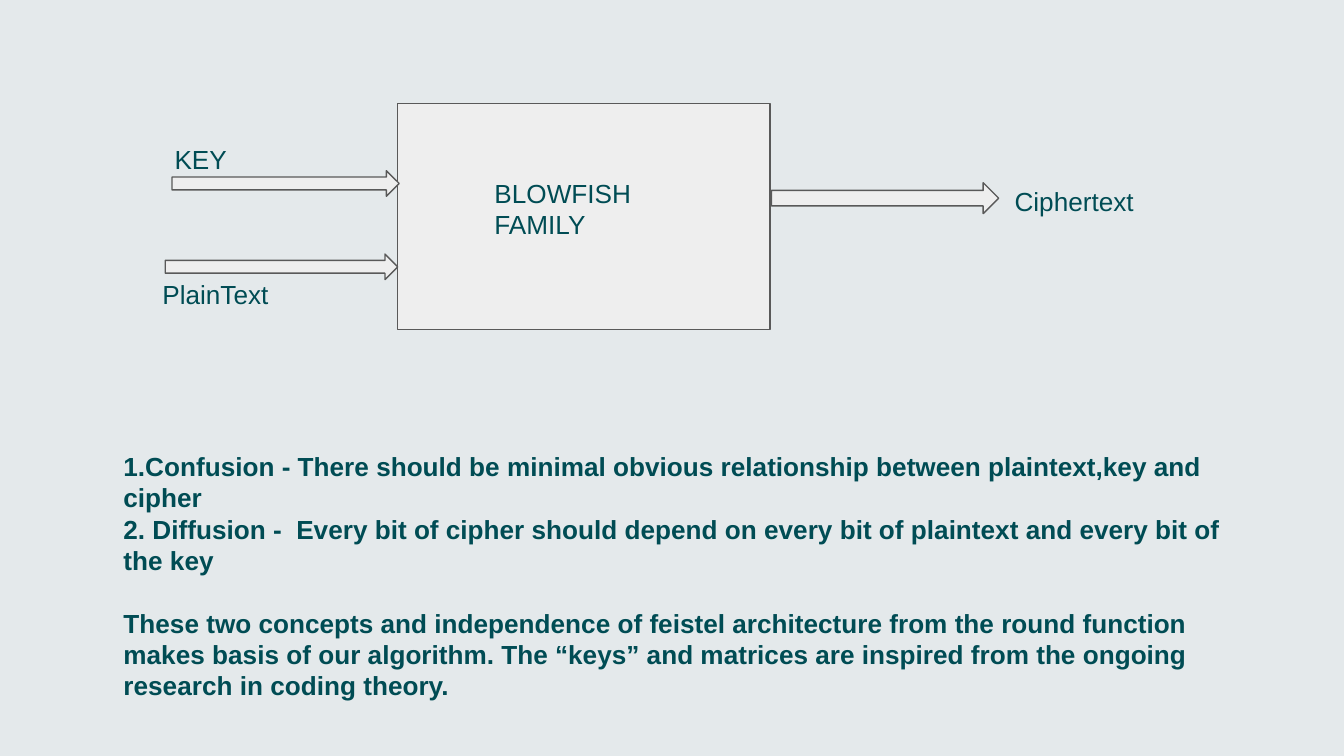
from pptx import Presentation
from pptx import util as u
from pptx.dml.color import RGBColor
from pptx.enum import shapes, text

COLORS = {"background": "E4E9EB", "block": "EEEEEE", "outline": "595959", "ink": "004C54"}


class Diagram:
    """Draws the cipher diagram's elements in one style on one slide."""

    font = "Arial"
    size = 14

    def __init__(self, slide):
        self.slide = slide
        self.paint(slide.background.fill, "background")

    def paint(self, fill, name):
        fill.solid()
        fill.fore_color.rgb = RGBColor.from_string(COLORS[name])

    def block(self, kind, *box):
        shape = self.slide.shapes.add_shape(kind, *map(u.Inches, box))
        shape.shadow.inherit = False
        self.paint(shape.fill, "block")
        self.paint(shape.line.fill, "outline")
        shape.line.width = u.Pt(0.75)

    def label(self, lines, *box, bold=False):
        frame = self.slide.shapes.add_textbox(*map(u.Inches, box)).text_frame
        frame.word_wrap = True
        frame.auto_size = text.MSO_AUTO_SIZE.NONE
        frame.margin_left = frame.margin_right = u.Inches(0.1)
        frame.margin_top = frame.margin_bottom = u.Inches(0.1)
        frame.text = "\n".join(lines)
        for paragraph in frame.paragraphs:
            font = paragraph.font
            font.name, font.size, font.bold = self.font, u.Pt(self.size), bold
            self.paint(font.fill, "ink")
        return frame


deck = Presentation()
deck.slide_width = u.Inches(10)
deck.slide_height = deck.slide_width * 9 // 16
diagram = Diagram(deck.slides.add_slide(deck.slide_layouts[6]))

diagram.block(shapes.MSO_SHAPE.FLOWCHART_PROCESS, 2.96, 0.77, 2.77, 1.68)
for arrow in [(1.28, 1.27, 1.69, 0.19), (1.23, 1.89, 1.73, 0.19), (5.74, 1.36, 1.69, 0.23)]:
    diagram.block(shapes.MSO_SHAPE.RIGHT_ARROW, *arrow)

for name, box in {
    "KEY": (1.2, 0.97, 1.82, 0.36),
    "Ciphertext": (7.45, 1.28, 1.18, 0.36),
    "PlainText": (1.11, 1.97, 1.27, 0.29),
    "BLOWFISH FAMILY": (3.58, 1.22, 1.59, 0.79),
}.items():
    diagram.label([name], *box)

principles = diagram.label([
    "1.Confusion - There should be minimal obvious relationship between plaintext,key and cipher",
    "2. Diffusion -  Every bit of cipher should depend on every bit of plaintext and every bit of the key",
    "These two concepts and independence of feistel architecture from the round function makes basis "
    "of our algorithm. The “keys” and matrices are inspired from the ongoing research in coding theory.",
], 0.82, 3.25, 8.48, 1.5, bold=True)
principles.paragraphs[-1].space_before = u.Pt(16.8)

deck.save("out.pptx")
